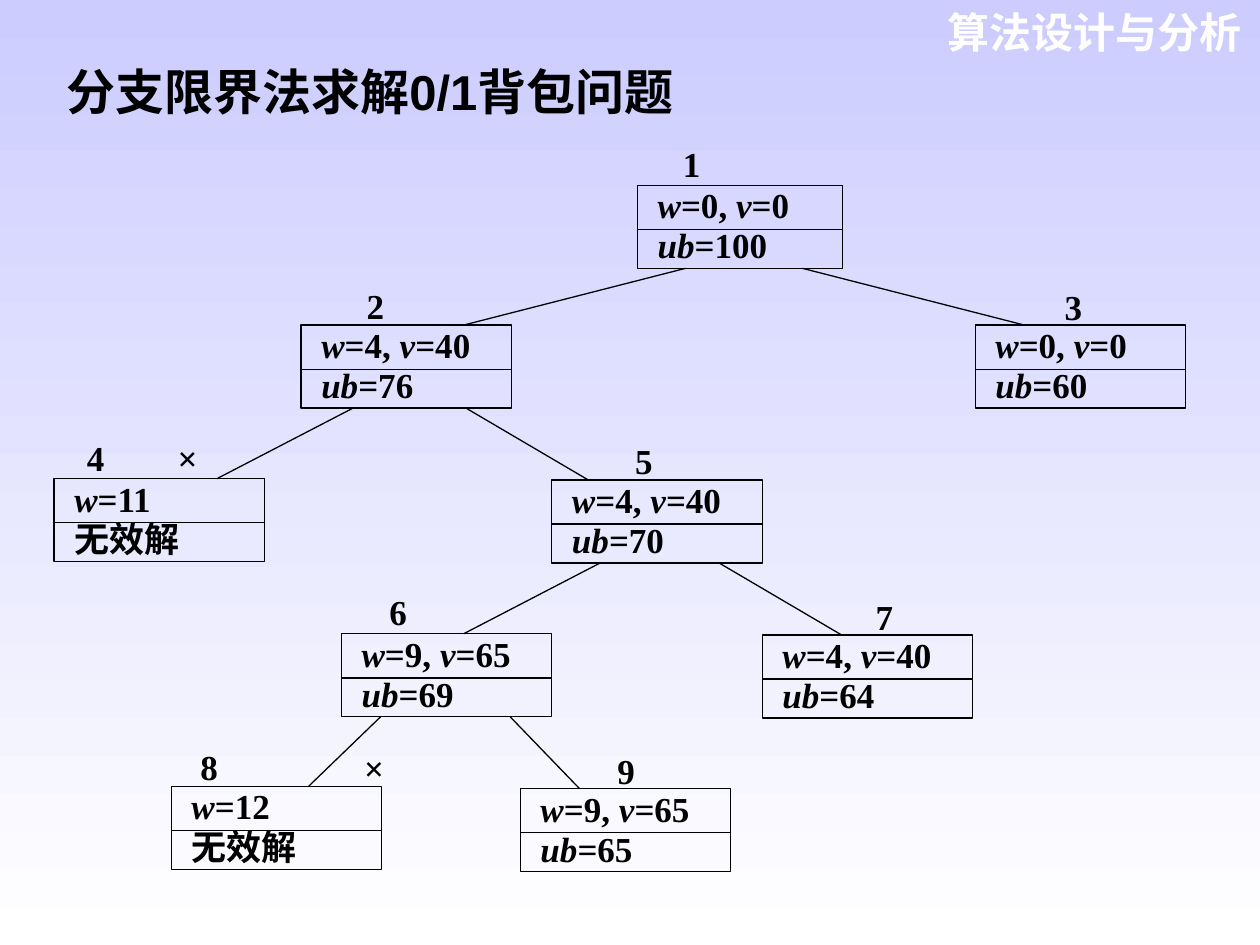
from itertools import groupby

from pptx import Presentation
from pptx.dml.color import RGBColor
from pptx.enum.shapes import MSO_CONNECTOR, MSO_SHAPE
from pptx.enum.text import MSO_ANCHOR, PP_ALIGN
from pptx.oxml.ns import qn
from pptx.util import Inches, Pt
from lxml import etree

RECTANGLE = MSO_SHAPE.RECTANGLE
STRAIGHT = MSO_CONNECTOR.STRAIGHT
TOP = MSO_ANCHOR.TOP
LEFT, RIGHT, JUSTIFY = PP_ALIGN.LEFT, PP_ALIGN.RIGHT, PP_ALIGN.JUSTIFY

COLORS = {"ink": "000000", "header": "FFFFFF", "sky": "CCCCFF", "base": "FFFFFF"}
TITLE = "分支限界法求解0/1背包问题"
HEADER = "算法设计与分析"
INVALID = "无效解"

# number: left, top, width, label left, label top, lines
NODES = {
    1: (5.06, 1.47, 1.63, 5.26, 1.15, ["w=0, v=0", "ub=100"]),
    2: (2.39, 2.58, 1.67, 2.75, 2.28, ["w=4, v=40", "ub=76"]),
    3: (7.74, 2.58, 1.67, 8.29, 2.29, ["w=0, v=0", "ub=60"]),
    4: (0.43, 3.80, 1.67, 0.53, 3.49, ["w=11", INVALID]),
    5: (4.38, 3.81, 1.67, 4.88, 3.51, ["w=4, v=40", "ub=70"]),
    6: (2.71, 5.03, 1.67, 2.93, 4.71, ["w=9, v=65", "ub=69"]),
    7: (6.05, 5.04, 1.67, 6.79, 4.75, ["w=4, v=40", "ub=64"]),
    8: (1.36, 6.24, 1.67, 1.43, 5.94, ["w=12", INVALID]),
    9: (4.13, 6.26, 1.67, 4.74, 5.97, ["w=9, v=65", "ub=65"]),
}
EDGES = [
    (1, 5.44, 2, 3.68), (1, 6.37, 3, 8.13),
    (2, 2.80, 4, 1.72), (2, 3.70, 5, 4.67),
    (5, 4.76, 6, 3.68), (5, 5.71, 7, 6.68),
    (6, 3.02, 8, 2.45), (6, 4.05, 9, 4.60),
]
CROSSES = [(1.25, 3.49), (2.73, 5.95)]
NODE_HEIGHT, DIVIDER_DROP = 0.66, 0.35


def color(name):
    return RGBColor.from_string(COLORS[name])


def set_frame(shape, left, top, right, bottom):
    frame = shape.text_frame
    frame.word_wrap = True
    frame.vertical_anchor = TOP
    frame.margin_left, frame.margin_top = Inches(left), Inches(top)
    frame.margin_right, frame.margin_bottom = Inches(right), Inches(bottom)
    return frame


def style(para, font, size, ink, align):
    para.alignment = align
    para.font.name = font
    para.font.size = Pt(size)
    para.font.bold = True
    para.font.color.rgb = color(ink)


def style_node_text(para):
    style(para, "Times New Roman", 20, "ink", JUSTIFY)
    para.line_spacing = 0.96


def add_line(page, x1, y1, x2, y2):
    line = page.shapes.add_connector(STRAIGHT, Inches(x1), Inches(y1), Inches(x2), Inches(y2))
    line.line.color.rgb = color("ink")
    line.line.width = Pt(0.75)
    etree.SubElement(line._element.spPr, qn("a:effectLst"))


def add_label(page, text, left, top, width):
    box = page.shapes.add_textbox(Inches(left), Inches(top), Inches(width), Inches(0.27))
    para = set_frame(box, 0.16, 0, 0, 0).paragraphs[0]
    para.text = text
    style_node_text(para)


def add_node(page, left, top, width, lines):
    box = page.shapes.add_shape(RECTANGLE, Inches(left), Inches(top), Inches(width), Inches(NODE_HEIGHT))
    box.shadow.inherit = False
    box.fill.background()
    box.line.color.rgb = color("ink")
    box.line.width = Pt(0.75)
    frame = set_frame(box, 0.16, 0.01, 0, 0)
    for index, text in enumerate(lines):
        para = frame.add_paragraph() if index else frame.paragraphs[0]
        style_node_text(para)
        for italic, letters in groupby(text, lambda c: c.isascii() and c.isalpha()):
            span = para.add_run()
            span.text = "".join(letters)
            span.font.italic = italic
    add_line(page, left, top + DIVIDER_DROP, left + width, top + DIVIDER_DROP)


def add_heading(shape, text, left, top, width, height, size, ink, align):
    shape.left, shape.top = Inches(left), Inches(top)
    shape.width, shape.height = Inches(width), Inches(height)
    para = set_frame(shape, 0.1, 0.05, 0.1, 0.05).paragraphs[0]
    para.text = text
    style(para, "Arial", size, ink, align)


def main():
    deck = Presentation()
    deck.slide_width, deck.slide_height = Inches(10), Inches(7.5)
    page = deck.slides.add_slide(deck.slide_layouts[5])

    fill = page.background.fill
    fill.gradient()
    fill.gradient_angle = 270
    for stop, name in zip(fill.gradient_stops, ("sky", "base")):
        stop.color.rgb = color(name)

    add_heading(page.shapes.title, TITLE, 0.43, 0.44, 5.75, 0.57, 28, "ink", LEFT)
    header = page.shapes.add_textbox(0, 0, 0, 0)
    add_heading(header, HEADER, 7.24, 0, 2.71, 0.5, 24, "header", RIGHT)

    for number, (left, top, width, label_left, label_top, lines) in NODES.items():
        add_node(page, left, top, width, lines)
        add_label(page, str(number), label_left, label_top, 0.21)
    for parent, start, child, end in EDGES:
        add_line(page, start, NODES[parent][1] + NODE_HEIGHT, end, NODES[child][1])
    for left, top in CROSSES:
        add_label(page, "×", left, top, 0.29)

    deck.save("out.pptx")


if __name__ == "__main__":
    main()
